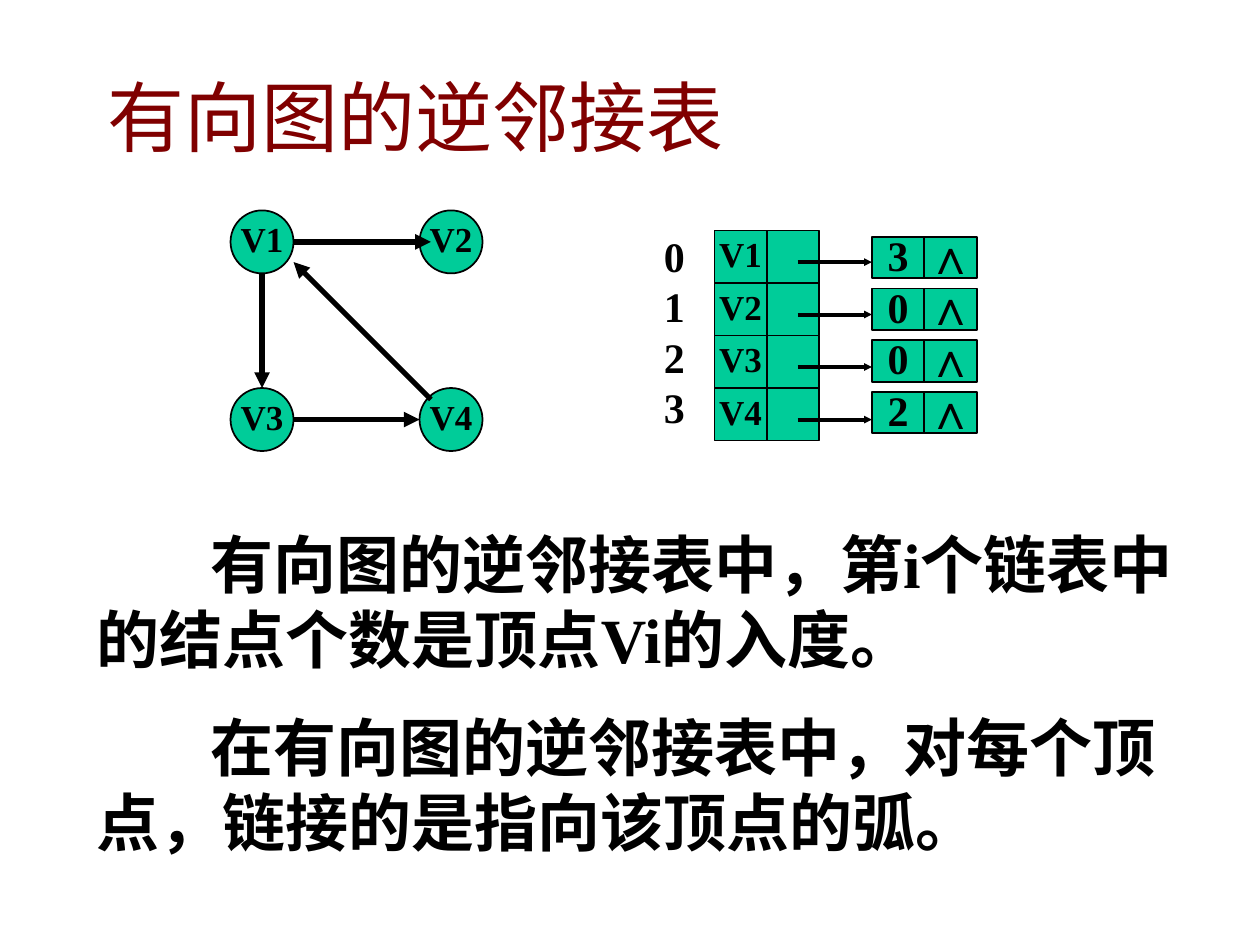
from dataclasses import dataclass

from lxml import etree
from pptx import Presentation
from pptx import util as u
from pptx.dml.color import RGBColor
from pptx.enum import shapes, text
from pptx.oxml import ns


@dataclass(frozen=True)
class Theme:
    node: RGBColor = RGBColor(0x00, 0xCC, 0x99)
    ink: RGBColor = RGBColor(0x00, 0x00, 0x00)
    title: RGBColor = RGBColor(0x80, 0x00, 0x00)
    serif: str = "Times New Roman"
    sans: str = "Arial"
    heading: str = "Arial Narrow"
    title_size: int = 44
    body_size: int = 36
    symbol_size: int = 28
    value_size: int = 24
    label_size: int = 20


THEME = Theme()

# Adjacency list grid, in inches
CELL = 5 / 12
TABLE_LEFT, TABLE_TOP = 5.67, 1.83
CHAIN_LEFT, CHAIN_TOP = 6.92, 1.88
CHAIN_HEIGHT, CHAIN_PITCH = 0.33, 0.41
CHAIN_VALUES = ["3", "0", "0", "2"]

# Graph: left and top of each vertex, then the ends of each arc
VERTEX_SIZE = 0.5
VERTICES = {
    "V1": (1.83, 1.67),
    "V2": (3.33, 1.67),
    "V3": (1.83, 3.08),
    "V4": (3.33, 3.08),
}
ARCS = [
    ((2.08, 2.17), (2.08, 3.08)),
    ((2.33, 1.92), (3.42, 1.92)),
    ((2.33, 3.33), (3.33, 3.33)),
    ((3.42, 3.17), (2.33, 2.08)),
]

EXPLANATION = [
    "有向图的逆邻接表中，第i个链表中的结点个数是顶点Vi的入度。",
    "在有向图的逆邻接表中，对每个顶点，链接的是指向该顶点的弧。",
]


def set_font(paragraph, size, name=THEME.serif, color=THEME.ink, bold=True):
    font = paragraph.font
    font.name, font.size, font.bold = name, u.Pt(size), bold
    font.color.rgb = color


def set_frame(frame, wrap, top=0):
    frame.word_wrap = wrap
    frame.margin_left = frame.margin_right = u.Inches(0.1)
    frame.margin_top, frame.margin_bottom = u.Inches(top), u.Inches(0.05)


def add_node(slide, kind, left, top, width, height, label="",
             size=THEME.label_size, font=THEME.serif):
    shape = slide.shapes.add_shape(
        kind, u.Inches(left), u.Inches(top), u.Inches(width), u.Inches(height))
    shape.shadow.inherit = False
    shape.fill.solid()
    shape.fill.fore_color.rgb = THEME.node
    shape.line.color.rgb = THEME.ink
    shape.line.width = u.Pt(1)
    if label:
        frame = shape.text_frame
        set_frame(frame, wrap=False)
        frame.vertical_anchor = text.MSO_ANCHOR.MIDDLE
        paragraph = frame.paragraphs[0]
        paragraph.text = label
        paragraph.alignment = text.PP_ALIGN.CENTER
        set_font(paragraph, size, font)


def add_arrow(slide, start, end, width, head="med"):
    connector = slide.shapes.add_connector(
        shapes.MSO_CONNECTOR.STRAIGHT, *map(u.Inches, start + end))
    connector.line.color.rgb = THEME.ink
    connector.line.width = u.Pt(width)
    line = connector.line._get_or_add_ln()
    etree.SubElement(line, ns.qn("a:tailEnd"), type="triangle", w=head, len=head)
    etree.SubElement(connector._element.spPr, ns.qn("a:effectLst"))


def add_text(slide, left, top, width, height, lines, size, space=0, indent=0):
    box = slide.shapes.add_textbox(*map(u.Inches, (left, top, width, height)))
    frame = box.text_frame
    set_frame(frame, wrap=True)
    for index, line in enumerate(lines):
        paragraph = frame.add_paragraph() if index else frame.paragraphs[0]
        paragraph.text = line
        if index and space:
            paragraph.space_before = u.Pt(space)
        if indent:
            properties = paragraph._p.get_or_add_pPr()
            properties.set("marL", "0")
            properties.set("indent", str(u.Inches(indent)))
        set_font(paragraph, size)


def add_title(slide, title):
    shape = slide.shapes.title
    shape.left, shape.top = u.Inches(0.75), u.Inches(0.5)
    shape.width, shape.height = u.Inches(5.4), u.Inches(0.84)
    frame = shape.text_frame
    set_frame(frame, wrap=True, top=0.05)
    frame.auto_size = text.MSO_AUTO_SIZE.NONE
    frame.vertical_anchor = text.MSO_ANCHOR.TOP
    paragraph = frame.paragraphs[0]
    paragraph.text = title
    paragraph.alignment = text.PP_ALIGN.LEFT
    set_font(paragraph, THEME.title_size, THEME.heading, THEME.title, bold=False)


def add_adjacency_list(slide):
    box = shapes.MSO_SHAPE.RECTANGLE
    for row, (vertex, value) in enumerate(zip(VERTICES, CHAIN_VALUES)):
        # Header cell and its pointer
        top = TABLE_TOP + row * CELL
        add_node(slide, box, TABLE_LEFT, top, CELL, CELL, vertex)
        add_node(slide, box, TABLE_LEFT + CELL, top, CELL, CELL)
        # Linked node with an end mark
        chain_top = CHAIN_TOP + row * CHAIN_PITCH
        add_node(slide, box, CHAIN_LEFT, chain_top, CELL, CHAIN_HEIGHT,
                 value, THEME.value_size)
        add_node(slide, box, CHAIN_LEFT + CELL, chain_top, CELL, CHAIN_HEIGHT,
                 "∧", THEME.symbol_size, THEME.sans)
        arrow_y = top + 0.25
        add_arrow(slide, (6.33, arrow_y), (CHAIN_LEFT, arrow_y), 2.25, "sm")
    # Row indexes
    indexes = [str(row) for row in range(len(VERTICES))]
    add_text(slide, 5.17, 1.83, 0.42, 1.65, indexes, THEME.value_size)


def add_graph(slide):
    for vertex, (left, top) in VERTICES.items():
        add_node(slide, shapes.MSO_SHAPE.OVAL, left, top,
                 VERTEX_SIZE, VERTEX_SIZE, vertex)
    for start, end in ARCS:
        add_arrow(slide, start, end, 3)


def main():
    presentation = Presentation()
    presentation.slide_width = u.Inches(10)
    presentation.slide_height = u.Inches(7.5)
    slide = presentation.slides.add_slide(presentation.slide_layouts[5])
    add_title(slide, "有向图的逆邻接表")
    add_adjacency_list(slide)
    add_graph(slide)
    add_text(slide, 0.67, 4.17, 9, 2.7, EXPLANATION, THEME.body_size,
             space=18, indent=0.9)
    presentation.save("out.pptx")


if __name__ == "__main__":
    main()
